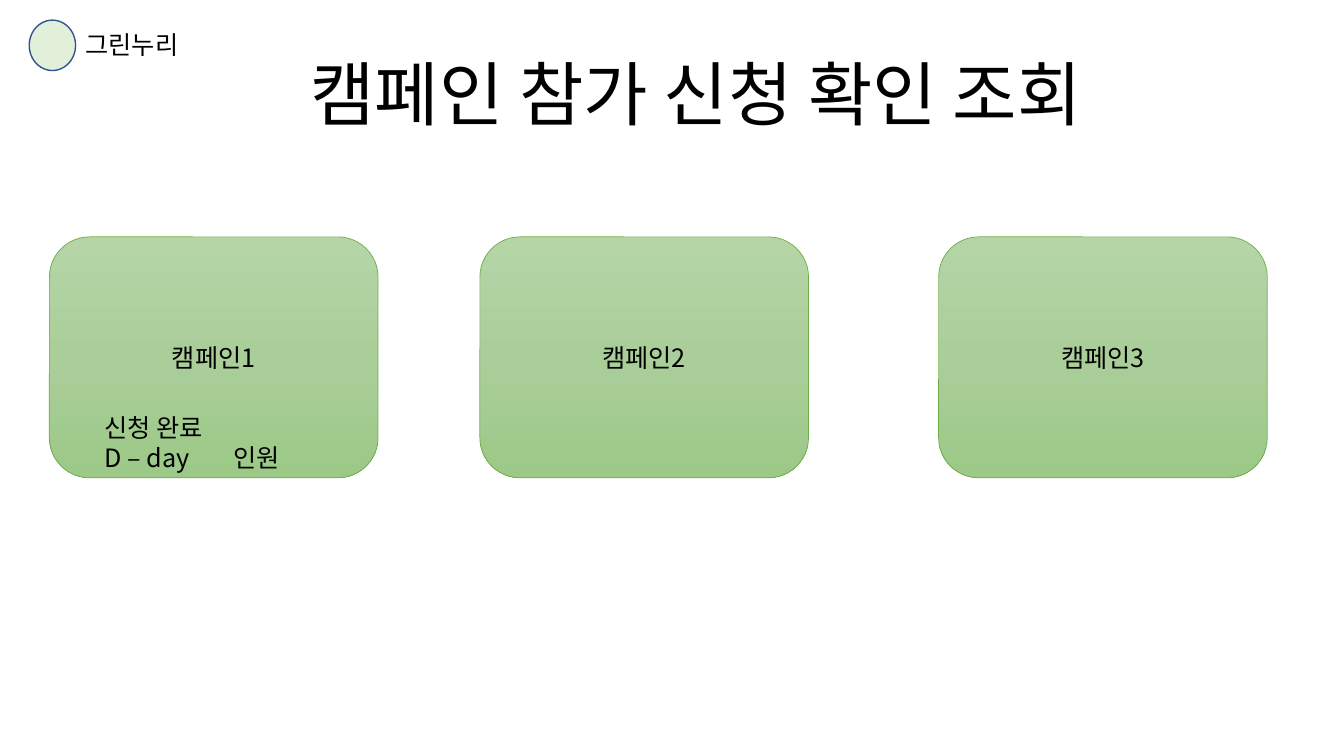
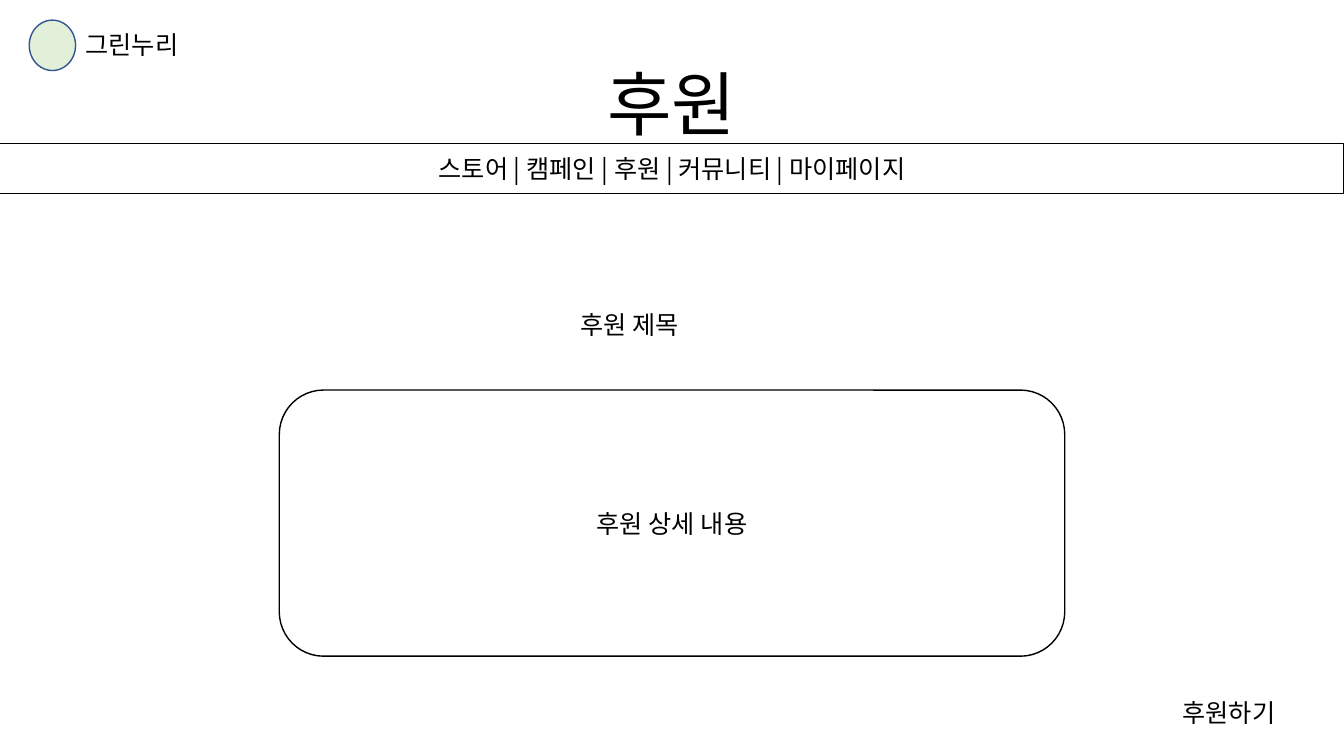
from copy import deepcopy

from lxml.etree import SubElement
from pptx import Presentation
from pptx.dml.color import RGBColor as Rgb
from pptx.enum.shapes import MSO_SHAPE as Form
from pptx.enum.text import MSO_ANCHOR as Anchor, MSO_AUTO_SIZE as Fit, PP_ALIGN as Align
from pptx.oxml.ns import qn
from pptx.util import Inches, Pt

COLORS = {
    "ink": "000000", "paper": "FFFFFF", "badge": "E2F0D9", "badge_line": "325491",
    "card_line": "70AD47", "card_top": "B5D5A7", "card_middle": "AACE9A",
    "card_bottom": "9CC987",
}
CARD_FILL = ("card_top", "card_middle", "card_bottom")
CARD_LEFTS = (0.49, 4.76, 9.31)
MENU = ("스토어", "캠페인", "후원", "커뮤니티", "마이페이지")


def color(name):
    return Rgb.from_string(COLORS[name])


class Wireframe:
    font = "Noto Sans CJK KR"
    body_size = 18
    title_size = 50

    def __init__(self):
        self.deck = Presentation()
        self.deck.slide_width = Inches(13.33)
        self.deck.slide_height = Inches(7.5)
        self.page = None

    def start_page(self):
        self.page = self.deck.slides.add_slide(self.deck.slide_layouts[6])
        self.shape(Form.OVAL, (0.29, 0.2, 0.46, 0.5), "badge", "badge_line", 1)
        self.label((0.75, 0.24, 2.14, 0.4), "그린누리")

    def fill_text(self, frame, text, size, align):
        for index, line in enumerate(text.split("\n")):
            para = frame.add_paragraph() if index else frame.paragraphs[0]
            para.alignment = align
            span = para.add_run()
            span.text = line
            span.font.color.rgb = color("ink")
            for key, value in {"size": Pt(size), "name": self.font}.items():
                setattr(span.font, key, value)
            SubElement(span._r.get_or_add_rPr(), qn("a:ea"), typeface=self.font)

    def label(self, place, text, size=body_size, align=Align.LEFT, wrap=True):
        box = self.page.shapes.add_textbox(*map(Inches, place))
        formats = {"word_wrap": wrap, "auto_size": Fit.SHAPE_TO_FIT_TEXT}
        for key, value in formats.items():
            setattr(box.text_frame, key, value)
        self.fill_text(box.text_frame, text, size, align)
        return box

    def title(self, place, text):
        self.label(place, text, self.title_size, Align.CENTER)

    def shape(self, form, place, fill, line, width, text=""):
        shape = self.page.shapes.add_shape(form, *map(Inches, place))
        shape.shadow.inherit = False
        shape.line.color.rgb = color(line)
        shape.line.width = Pt(width)
        if fill is None:
            shape.fill.background()
        elif isinstance(fill, tuple):
            self.gradient(shape, fill)
        else:
            shape.fill.solid()
            shape.fill.fore_color.rgb = color(fill)
        if text:
            shape.text_frame.vertical_anchor = Anchor.MIDDLE
            self.fill_text(shape.text_frame, text, self.body_size, Align.CENTER)

    def gradient(self, shape, names):
        shape.fill.gradient()
        shape.fill.gradient_angle = 270
        stop_list = next(shape._element.iter(qn("a:gsLst")))
        stop_list.insert(1, deepcopy(stop_list[0]))
        for index, (stop, name) in enumerate(zip(shape.fill.gradient_stops, names)):
            stop.color.rgb = color(name)
            stop.position = index / (len(names) - 1)

    def tab_stop(self, para, offset):
        tabs = SubElement(para._p.get_or_add_pPr(), qn("a:tabLst"))
        SubElement(tabs, qn("a:tab"), pos=str(Inches(offset)), algn="l")


wireframe = Wireframe()

wireframe.start_page()
wireframe.title((2.3, 0.45, 9.21, 0.94), "캠페인 참가 신청 확인 조회")
for number, left in enumerate(CARD_LEFTS, 1):
    wireframe.shape(Form.ROUNDED_RECTANGLE, (left, 2.35, 3.26, 2.39), CARD_FILL,
                    "card_line", 0.5, f"캠페인{number}")
status = wireframe.label((0.94, 4.04, 2.36, 0.71), "신청 완료\nD – day\t인원")
wireframe.tab_stop(status.text_frame.paragraphs[1], 1.28)

wireframe.start_page()
wireframe.title((3.83, 0.55, 5.67, 0.94), "후원")
wireframe.shape(Form.RECTANGLE, (0, 1.42, 13.33, 0.5), None, "ink", 0.75, " | ".join(MENU))
wireframe.label((5.66, 3.02, 1.3, 0.4), "후원 제목", wrap=False)
wireframe.shape(Form.ROUNDED_RECTANGLE, (2.77, 3.87, 7.79, 2.64), "paper", "ink", 1,
                "후원 상세 내용")
wireframe.label((11.63, 6.87, 1.38, 0.4), "후원하기")

wireframe.deck.save("out.pptx")
